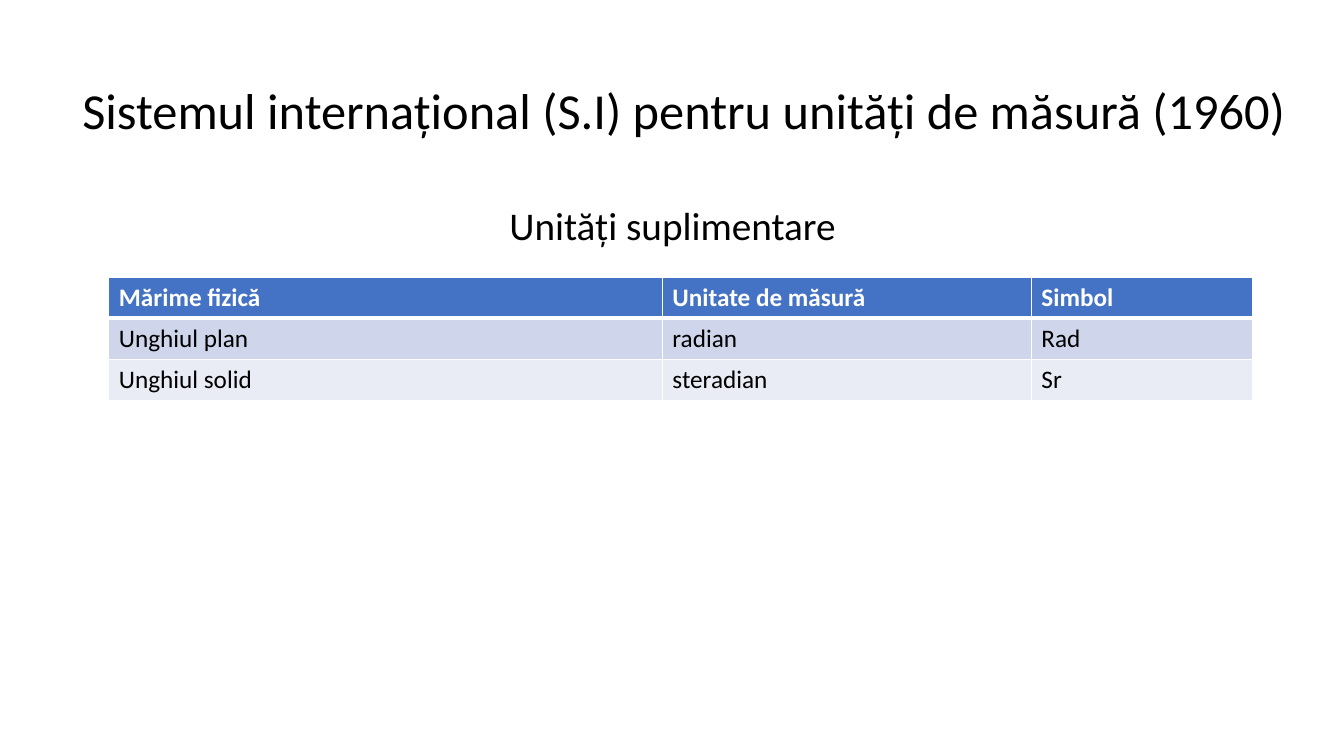
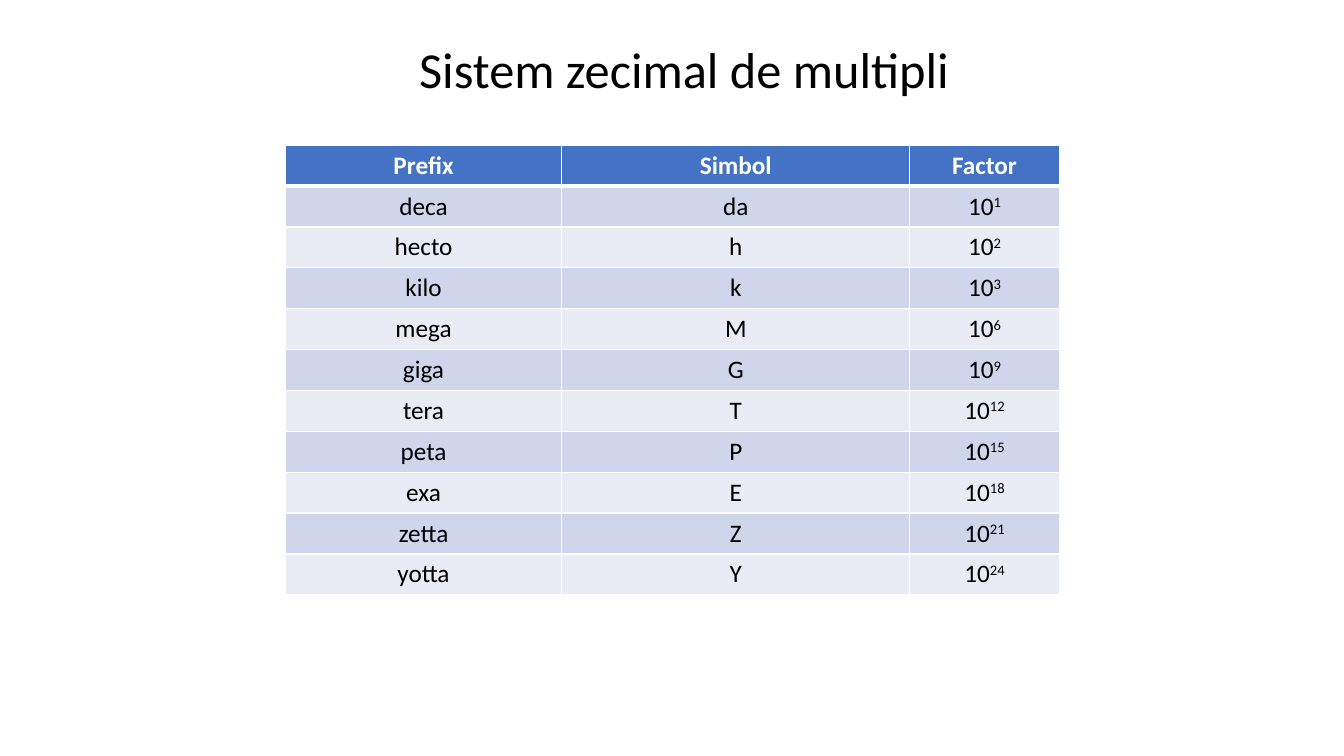
import pptx
import pptx.dml.color
import pptx.enum.text
import pptx.oxml.ns
import pptx.util
from lxml import etree

RGBColor = pptx.dml.color.RGBColor
ALIGN = pptx.enum.text.PP_ALIGN
ANCHOR = pptx.enum.text.MSO_ANCHOR
AUTO_SIZE = pptx.enum.text.MSO_AUTO_SIZE

BLACK = RGBColor(0x00, 0x00, 0x00)
WHITE = RGBColor(0xFF, 0xFF, 0xFF)
HEADER_BLUE = RGBColor(0x44, 0x72, 0xC4)
BANDS = (RGBColor(0xCF, 0xD5, 0xEA), RGBColor(0xE9, 0xEB, 0xF5))

SLIDE_WIDTH = pptx.util.Inches(13.33)
SLIDE_HEIGHT = pptx.util.Inches(7.5)
TITLE_ONLY = 5
THIN, THICK = 1, 3

TITLE_FONT = {"name": "Calibri", "size": pptx.util.Pt(36), "bold": False}
SUBTITLE_FONT = {"name": "Calibri", "size": pptx.util.Pt(28), "bold": False}
BODY_FONT = {"name": "Calibri", "size": pptx.util.Pt(18), "bold": False}
HEADER_FONT = {**BODY_FONT, "bold": True}

SUPPLEMENTARY_UNITS = [
    ("Mărime fizică", "Unitate de măsură", "Simbol"),
    ("Unghiul plan", "radian", "Rad"),
    ("Unghiul solid", "steradian", "Sr"),
]
MULTIPLES = [
    ("Prefix", "Simbol", "Factor"),
    ("deca", "da", "10^1"),
    ("hecto", "h", "10^2"),
    ("kilo", "k", "10^3"),
    ("mega", "M", "10^6"),
    ("giga", "G", "10^9"),
    ("tera", "T", "10^12"),
    ("peta", "P", "10^15"),
    ("exa", "E", "10^18"),
    ("zetta", "Z", "10^21"),
    ("yotta", "Y", "10^24"),
]


def percent_box(left, top, width, height):
    return (
        round(SLIDE_WIDTH * left / 100),
        round(SLIDE_HEIGHT * top / 100),
        round(SLIDE_WIDTH * width / 100),
        round(SLIDE_HEIGHT * height / 100),
    )


def set_attributes(target, values):
    for key, value in values.items():
        setattr(target, key, value)


def style_font(font, values, color):
    set_attributes(font, values)
    font.color.rgb = color


def write_line(frame, text, font_values):
    set_attributes(frame, {"word_wrap": True, "auto_size": AUTO_SIZE.NONE})
    line = frame.paragraphs[0]
    line.text = text
    set_attributes(line, {"alignment": ALIGN.CENTER, "line_spacing": 0.9})
    style_font(line.runs[0].font, font_values, BLACK)


def add_titled_slide(deck, title, box):
    slide = deck.slides.add_slide(deck.slide_layouts[TITLE_ONLY])
    heading = slide.shapes.title
    set_attributes(heading, dict(zip(("left", "top", "width", "height"), box)))
    heading.text_frame.vertical_anchor = ANCHOR.MIDDLE
    write_line(heading.text_frame, title, TITLE_FONT)
    return slide


def add_subtitle(slide, text, box):
    subtitle = slide.shapes.add_textbox(*box)
    write_line(subtitle.text_frame, text, SUBTITLE_FONT)


def set_borders(cell, top, bottom):
    properties = cell._tc.get_or_add_tcPr()
    for side, points in (("L", THIN), ("R", THIN), ("T", top), ("B", bottom)):
        border = etree.SubElement(
            properties, pptx.oxml.ns.qn(f"a:ln{side}"), w=str(pptx.util.Pt(points))
        )
        fill = etree.SubElement(border, pptx.oxml.ns.qn("a:solidFill"))
        etree.SubElement(fill, pptx.oxml.ns.qn("a:srgbClr"), val=str(WHITE))


def write_cell(cell, text, alignment, font_values, color):
    line = cell.text_frame.paragraphs[0]
    line.alignment = alignment
    base, _, exponent = text.partition("^")
    for part in filter(None, (base, exponent)):
        run = line.add_run()
        run.text = part
        style_font(run.font, font_values, color)
    if exponent:
        line.runs[-1].font._element.set("baseline", "30000")


def add_banded_table(slide, rows, column_weights, box, alignment):
    left, top, width, height = box
    table = slide.shapes.add_table(len(rows), len(column_weights), *box).table
    set_attributes(table, {"first_row": False, "horz_banding": False})
    for column, weight in zip(table.columns, column_weights):
        column.width = round(width * weight / sum(column_weights))
    for index, (row, texts) in enumerate(zip(table.rows, rows)):
        row.height = round(height / len(rows))
        is_header = index == 0
        fill = HEADER_BLUE if is_header else BANDS[(index - 1) % 2]
        font_values = HEADER_FONT if is_header else BODY_FONT
        color = WHITE if is_header else BLACK
        for cell, text in zip(row.cells, texts):
            set_borders(cell, THICK if index == 1 else THIN, THICK if is_header else THIN)
            cell.fill.solid()
            cell.fill.fore_color.rgb = fill
            write_cell(cell, text, alignment, font_values, color)


def build_units_slide(deck):
    slide = add_titled_slide(
        deck,
        "Sistemul internațional (S.I) pentru unități de măsură (1960)",
        percent_box(3.08, 5.33, 95.65, 19.33),
    )
    add_subtitle(slide, "Unități suplimentare", percent_box(6.9, 26.67, 86.27, 8))
    add_banded_table(
        slide, SUPPLEMENTARY_UNITS, (5.49, 3.66, 2.19),
        percent_box(8.1, 36.67, 85.07, 16.27), ALIGN.LEFT,
    )


def build_multiples_slide(deck):
    slide = add_titled_slide(
        deck, "Sistem zecimal de multipli", percent_box(3.08, -0.13, 95.65, 19.33)
    )
    add_banded_table(
        slide, MULTIPLES, (2.74, 3.45, 1.48),
        percent_box(21.23, 19.2, 57.58, 59.4), ALIGN.CENTER,
    )


def main():
    deck = pptx.Presentation()
    set_attributes(deck, {"slide_width": SLIDE_WIDTH, "slide_height": SLIDE_HEIGHT})
    build_units_slide(deck)
    build_multiples_slide(deck)
    deck.save("out.pptx")


if __name__ == "__main__":
    main()
